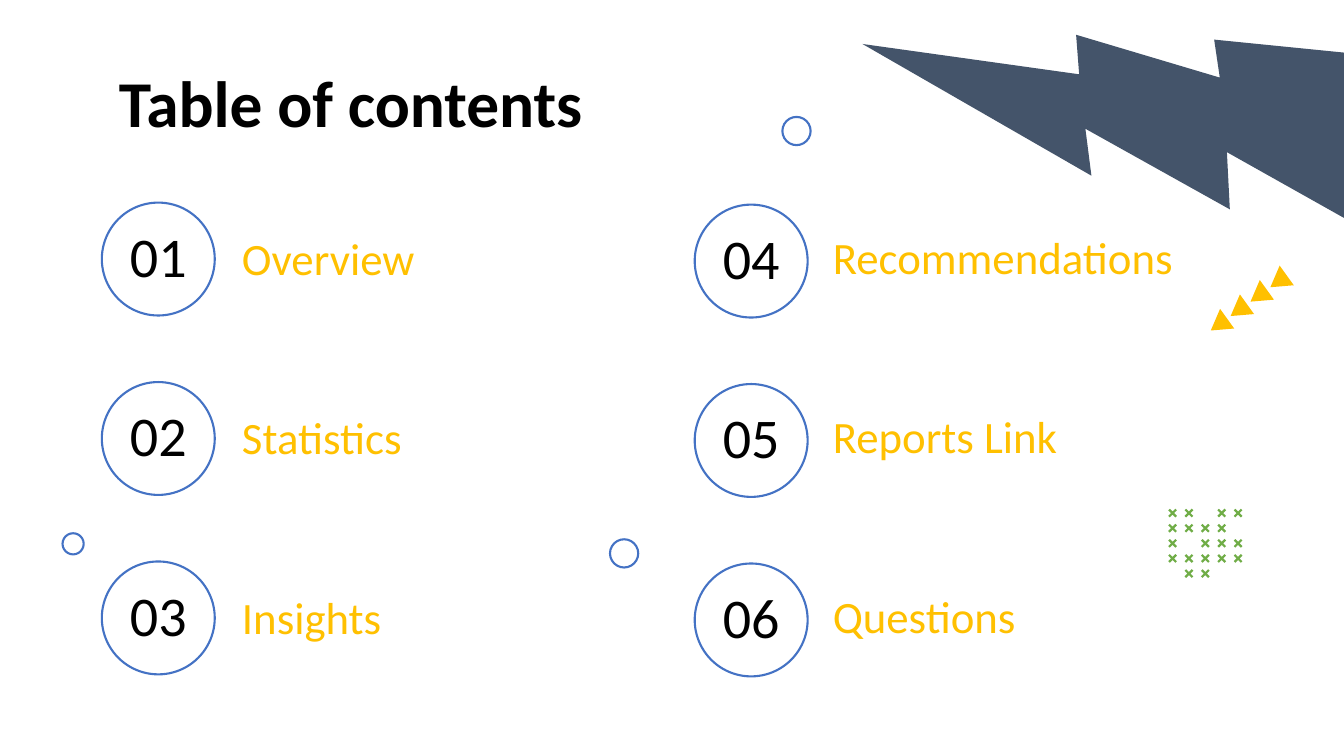
from dataclasses import dataclass

from pptx import Presentation
from pptx import util as u
from pptx.dml.color import RGBColor
from pptx.enum import shapes, text

COLORS = {
    "ink": "000000",
    "blue": "4472C4",
    "slate": "44546A",
    "gold": "FFC000",
    "green": "70AD47",
}
FONT = "Calibri"
ROW_PITCH = 1.78
CIRCLE_SIZE = 1.12
LABEL_SIZE = (4.55, 0.5)
CROSS_PATTERN = ("xx.xx", "xxxx.", "x.xxx", "xxxxx", ".xx..")


@dataclass(frozen=True)
class Column:
    circle_left: float
    circle_top: float
    label_left: float
    label_top: float
    first_number: int
    topics: tuple[str, ...]


@dataclass(frozen=True)
class Ring:
    left: float
    top: float
    size: float


COLUMNS = (
    Column(1.01, 2.01, 2.27, 2.34, 1, ("Overview", "Statistics", "Insights")),
    Column(6.89, 2.03, 8.13, 2.33, 4, ("Recommendations", "Reports Link", "Questions")),
)
RINGS = (Ring(0.62, 5.29, 0.21), Ring(7.76, 1.16, 0.28), Ring(6.05, 5.35, 0.28))


def write_text(shape, content: str, *, size: float, color: str = "ink",
               bold: bool = False, align=text.PP_ALIGN.LEFT,
               anchor=text.MSO_ANCHOR.MIDDLE, inset: float = 0.13,
               wrap: bool = True) -> None:
    frame = shape.text_frame
    frame.auto_size = text.MSO_AUTO_SIZE.NONE
    frame.word_wrap = wrap
    frame.vertical_anchor = anchor
    frame.margin_left = frame.margin_right = u.Inches(inset)
    frame.margin_top = frame.margin_bottom = u.Inches(inset)
    paragraph = frame.paragraphs[0]
    paragraph.alignment = align
    paragraph.line_spacing = 0.9
    run = paragraph.add_run()
    run.text = content
    run.font.name = FONT
    run.font.size = u.Pt(size)
    run.font.bold = bold
    run.font.color.rgb = RGBColor.from_string(COLORS[color])


def add_solid(slide, kind, left: float, top: float, width: float, height: float,
              color: str, rotation: float):
    shape = slide.shapes.add_shape(
        kind, u.Inches(left), u.Inches(top), u.Inches(width), u.Inches(height))
    shape.shadow.inherit = False
    shape.fill.solid()
    shape.fill.fore_color.rgb = RGBColor.from_string(COLORS[color])
    shape.line.fill.background()
    shape.rotation = rotation
    return shape


def add_ring(slide, ring: Ring):
    shape = slide.shapes.add_shape(
        shapes.MSO_SHAPE.OVAL, u.Inches(ring.left), u.Inches(ring.top),
        u.Inches(ring.size), u.Inches(ring.size))
    shape.shadow.inherit = False
    shape.fill.background()
    shape.line.color.rgb = RGBColor.from_string(COLORS["blue"])
    shape.line.width = u.Pt(1.5)
    return shape


def add_title(slide) -> None:
    title = slide.shapes.title
    title.left, title.top = u.Inches(1.05), u.Inches(0.57)
    title.width, title.height = u.Inches(11.24), u.Inches(0.86)
    write_text(title, "Table of contents", size=46.7, bold=True,
               anchor=text.MSO_ANCHOR.TOP)


def add_column(slide, column: Column) -> None:
    """Draw numbered circles with their topics beside them."""
    for row, topic in enumerate(column.topics):
        offset = row * ROW_PITCH
        circle = add_ring(
            slide, Ring(column.circle_left, column.circle_top + offset, CIRCLE_SIZE))
        write_text(circle, f"{column.first_number + row:02d}", size=40,
                   align=text.PP_ALIGN.CENTER, inset=0, wrap=False)
        label = slide.shapes.add_textbox(
            u.Inches(column.label_left), u.Inches(column.label_top + offset),
            u.Inches(LABEL_SIZE[0]), u.Inches(LABEL_SIZE[1]))
        write_text(label, topic, size=32, color="gold")


def add_lightning_bolt(slide) -> None:
    bolt = add_solid(slide, shapes.MSO_SHAPE.LIGHTNING_BOLT,
                     9.33, -0.91, 4.23, 4.23, "slate", 59.9)
    bolt._element.spPr.xfrm.set("flipH", "1")


def add_crosses(slide) -> None:
    for row, marks in enumerate(CROSS_PATTERN):
        for column, mark in enumerate(marks):
            if mark == "x":
                cross = add_solid(
                    slide, shapes.MSO_SHAPE.CROSS, 11.58 + column * 0.1625,
                    5.04 + row * 0.15, 0.1, 0.1, "green", 315)
                cross.adjustments[0] = 0.39


def add_triangles(slide) -> None:
    for step in range(4):
        add_solid(slide, shapes.MSO_SHAPE.ISOSCELES_TRIANGLE,
                  11.97 + step * 0.197, 3.12 - step * 0.143,
                  0.24, 0.2, "gold", 234.2)


def main() -> None:
    presentation = Presentation()
    presentation.slide_width = u.Inches(13.33)
    presentation.slide_height = u.Inches(7.5)
    slide = presentation.slides.add_slide(presentation.slide_layouts[5])
    add_lightning_bolt(slide)
    add_title(slide)
    for column in COLUMNS:
        add_column(slide, column)
    add_crosses(slide)
    for ring in RINGS:
        add_ring(slide, ring)
    add_triangles(slide)
    presentation.save("out.pptx")


if __name__ == "__main__":
    main()
